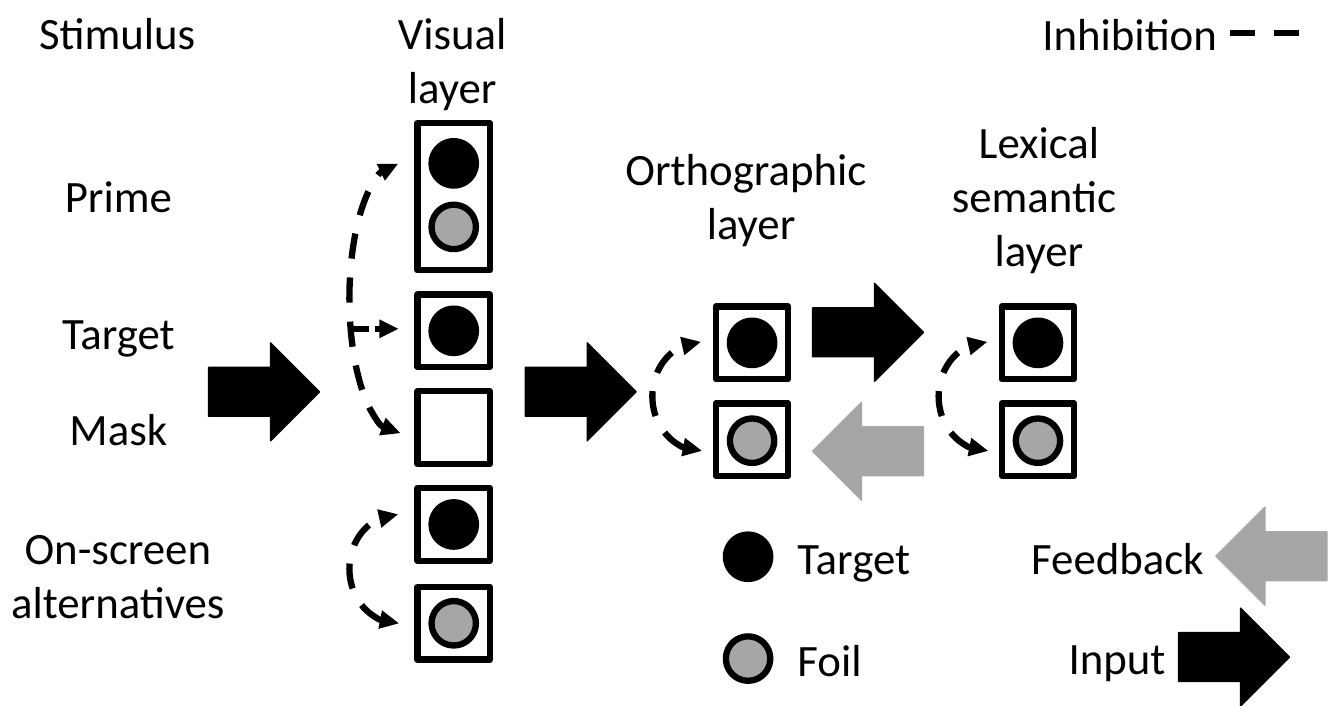
"""Draw the layered priming model, with places given as percentages of the slide."""
from dataclasses import dataclass

from lxml import etree
from pptx import Presentation, util as u
from pptx.dml.color import RGBColor
from pptx.enum import dml, shapes, text
from pptx.oxml.ns import qn

WIDTH, HEIGHT = 13.33, 7
COLOURS = {"black": "000000", "grey": "A6A6A6", "white": "FFFFFF"}
FONT, TEXT_SIZE, STROKE = "Calibri", 32, 4.5
SQUARE, DOT, ARC_DEPTH = 5.4, 3.3, 7.2
VISUAL, ORTHOGRAPHIC, LEXICAL, LEGEND = 33.76, 55.96, 77.23, 55.66
KIND = shapes.MSO_SHAPE
DASH = dml.MSO_LINE.DASH


@dataclass
class Label:
    x: float
    y: float
    width: float
    words: str
    centred: bool = True
    wrapped: bool = False


@dataclass
class Cell:
    x: float
    y: float
    height: float = SQUARE * WIDTH / HEIGHT


@dataclass
class Dot:
    x: float
    y: float
    colour: str = "black"


@dataclass
class Arc:
    x: float
    y: float
    length: float = 8.1


@dataclass
class BlockArrow:
    x: float
    y: float
    feedback: bool = False


@dataclass
class DashedLine:
    start: float
    end: float
    y: float
    dash: int
    pointed: bool = False


LABELS = [
    Label(8.81, 4.57, 13.28, "Stimulus", centred=False),
    Label(33.65, 8.43, 9.68, "Visual\nlayer"),
    Label(55.89, 27.71, 20.41, "Orthographic \nlayer"),
    Label(77.31, 27.71, 15.38, "Lexical\nsemantic \nlayer"),
    Label(8.81, 27.57, 9.53, "Prime"),
    Label(8.81, 47, 9.98, "Target"),
    Label(8.81, 60.57, 8.85, "Mask"),
    Label(8.78, 81.29, 17.55, "On-screen\nalternatives"),
    Label(83.2, 93, 8.85, "Input", centred=False),
    Label(83.23, 78.86, 14.48, "Feedback", centred=False),
    Label(84.17, 4.71, 14.7, "Inhibition", centred=False, wrapped=True),
    Label(65.94, 78.86, 14.7, "Target", centred=False, wrapped=True),
    Label(65.94, 93.29, 14.7, "Foil", centred=False, wrapped=True),
]
CELLS = [Cell(VISUAL, 27.86, 20.86)]
CELLS += [Cell(VISUAL, y) for y in (46.86, 60.57, 74.29, 88.29)]
CELLS += [Cell(x, y) for x in (ORTHOGRAPHIC, LEXICAL) for y in (48.57, 62.29)]
DOTS = [Dot(VISUAL, y) for y in (23.14, 46.86, 74.29)]
DOTS += [Dot(VISUAL, y, "grey") for y in (32.14, 88.29)]
for column in (ORTHOGRAPHIC, LEXICAL):
    DOTS += [Dot(column, 48.57), Dot(column, 62.43, "grey")]
DOTS += [Dot(LEGEND, 78.86), Dot(LEGEND, 93.29, "grey")]
ARCS = [Arc(29.6, 42.29, 20.03), Arc(29.6, 80.57), Arc(52.14, 56.14), Arc(73.44, 56.14)]
ARROWS = [
    BlockArrow(19.65, 55.5), BlockArrow(43.21, 55.5),
    BlockArrow(64.59, 47.07), BlockArrow(64.59, 63.93, feedback=True),
    BlockArrow(91.82, 93.07), BlockArrow(94.6, 78.79, feedback=True),
]
LINES = [
    DashedLine(26.03, 29.63, 46.57, DASH.SQUARE_DOT, pointed=True),
    DashedLine(91.52, 97.97, 4.71, DASH.DASH),
]


def across(share: float) -> int:
    return u.Inches(WIDTH * share / 100)


def down(share: float) -> int:
    return u.Inches(HEIGHT * share / 100)


def rgb(name: str) -> RGBColor:
    return RGBColor.from_string(COLOURS[name])


def add_centred(page, kind, x: float, y: float, width: int, height: int,
                fill: str | None, line: str = "black", stroke: float = STROKE):
    shape = page.shapes.add_shape(
        kind, across(x) - width // 2, down(y) - height // 2, width, height)
    shape.shadow.inherit = False
    if fill:
        shape.fill.solid()
        shape.fill.fore_color.rgb = rgb(fill)
    else:
        shape.fill.background()
    shape.line.color.rgb = rgb(line)
    shape.line.width = u.Pt(stroke)
    return shape


def add_heads(shape, *ends: str) -> None:
    outline = shape.line._get_or_add_ln()
    for end in ends:
        etree.SubElement(outline, qn(f"a:{end}"), type="triangle")


def add_label(page, label: Label) -> None:
    height = u.Inches(0.1 + 0.54 * len(label.words.split("\n")))
    box = page.shapes.add_textbox(
        across(label.x - label.width / 2), down(label.y) - height // 2,
        across(label.width), height)
    frame = box.text_frame
    frame.text = label.words
    frame.word_wrap = label.wrapped
    frame.auto_size = text.MSO_AUTO_SIZE.SHAPE_TO_FIT_TEXT
    for para in frame.paragraphs:
        para.alignment = text.PP_ALIGN.CENTER if label.centred else text.PP_ALIGN.LEFT
        for span in para.runs:
            span.font.name = FONT
            span.font.size = u.Pt(TEXT_SIZE)
            span.font.color.rgb = rgb("black")


def add_cell(page, cell: Cell) -> None:
    add_centred(page, KIND.RECTANGLE, cell.x, cell.y,
                across(SQUARE), down(cell.height), "white")


def add_dot(page, dot: Dot) -> None:
    add_centred(page, KIND.OVAL, dot.x, dot.y, across(DOT), across(DOT), dot.colour)


def add_arc(page, arc: Arc) -> None:
    shape = add_centred(page, KIND.ARC, arc.x, arc.y,
                        across(arc.length), across(ARC_DEPTH), None)
    shape.rotation = 270
    shape.adjustments[0], shape.adjustments[1] = 107.39, 0
    shape.line.dash_style = DASH.DASH
    add_heads(shape, "headEnd", "tailEnd")


def add_arrow(page, arrow: BlockArrow) -> None:
    colour = "grey" if arrow.feedback else "black"
    kind = KIND.LEFT_ARROW if arrow.feedback else KIND.RIGHT_ARROW
    add_centred(page, kind, arrow.x, arrow.y,
                across(8.25), down(13.86), colour, colour, 1)


def add_line(page, line: DashedLine) -> None:
    connector = page.shapes.add_connector(
        shapes.MSO_CONNECTOR.STRAIGHT,
        across(line.start), down(line.y), across(line.end), down(line.y))
    connector.line.color.rgb = rgb("black")
    connector.line.width = u.Pt(STROKE)
    connector.line.dash_style = line.dash
    if line.pointed:
        add_heads(connector, "tailEnd")
    etree.SubElement(connector._element.spPr, qn("a:effectLst"))


def main() -> None:
    deck = Presentation()
    deck.slide_width, deck.slide_height = across(100), down(100)
    page = deck.slides.add_slide(deck.slide_layouts[6])
    for items, draw in ((LABELS, add_label), (CELLS, add_cell), (DOTS, add_dot),
                        (ARCS, add_arc), (LINES, add_line), (ARROWS, add_arrow)):
        for item in items:
            draw(page, item)
    deck.save("out.pptx")


main()
